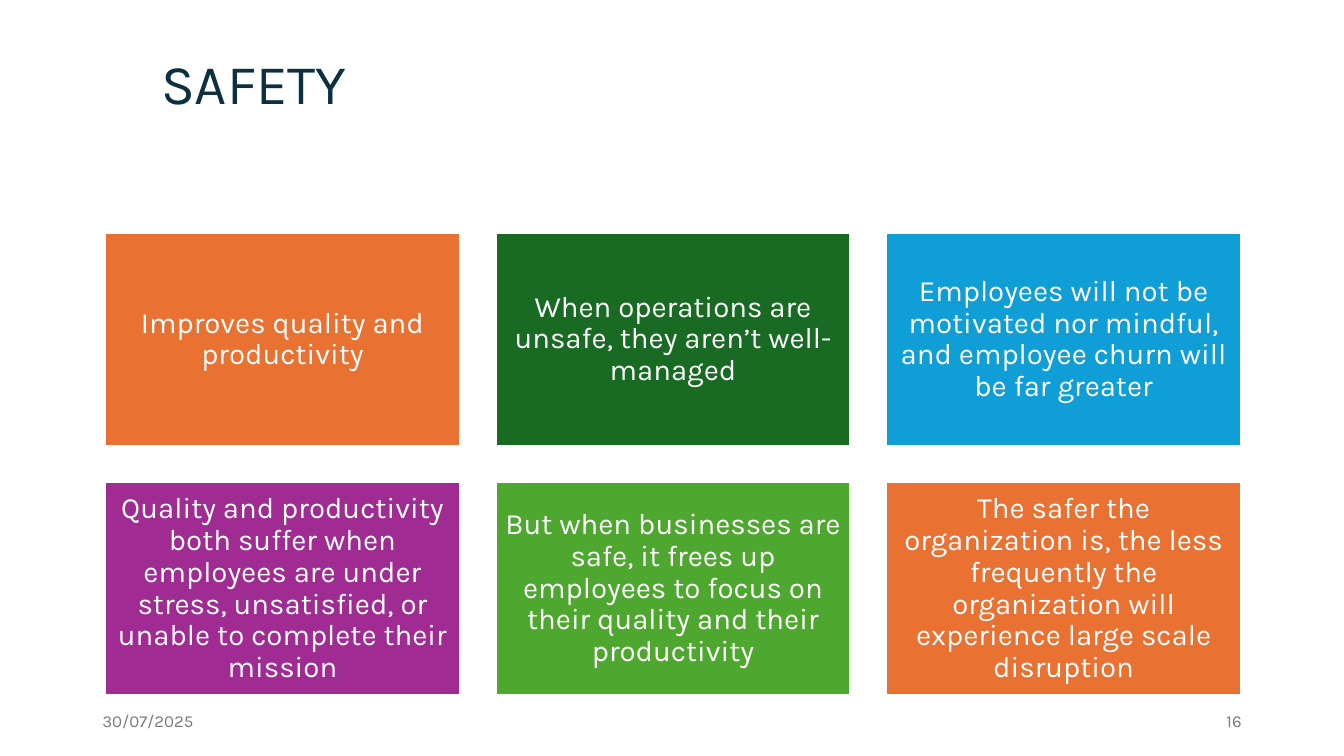
"""Build the safety slide: a title above a grid of six coloured statement cards."""
from pptx import Presentation
from pptx.dml.color import RGBColor
from pptx.enum import shapes, text
from pptx.util import Pt

FONT = "Karla"
WHITE = RGBColor(0xFF, 0xFF, 0xFF)
NAVY = RGBColor(0x0B, 0x30, 0x41)
GREY = RGBColor(0x79, 0x79, 0x79)
ORANGE = RGBColor(0xE9, 0x71, 0x32)
DARK_GREEN = RGBColor(0x19, 0x6B, 0x24)
BLUE = RGBColor(0x0F, 0x9E, 0xD5)
PURPLE = RGBColor(0xA0, 0x2B, 0x93)
GREEN = RGBColor(0x4E, 0xA7, 0x2E)

COLUMNS = 3
LEFT, TOP = 75, 166.5
CARD_WIDTH, CARD_HEIGHT = 253.5, 152
COLUMN_STEP, ROW_STEP = 279, 178


def write(holder, wording, size, color, align, line_spacing=1.0):
    """Put one vertically centred paragraph into a shape."""
    frame = holder.text_frame
    frame.word_wrap = True
    frame.vertical_anchor = text.MSO_ANCHOR.MIDDLE
    frame.text = wording
    paragraph = frame.paragraphs[0]
    paragraph.alignment = align
    paragraph.line_spacing = line_spacing
    font = paragraph.runs[0].font
    font.name = FONT
    font.size = Pt(size)
    font.color.rgb = color


deck = Presentation()
deck.slide_width, deck.slide_height = Pt(960), Pt(540)
slide = deck.slides.add_slide(deck.slide_layouts[6])

title = slide.shapes.add_textbox(Pt(108), Pt(27.5), Pt(790.5), Pt(69))
write(title, "SAFETY", 40, NAVY, text.PP_ALIGN.LEFT, 0.9)

statements = [
    ("Improves quality and productivity", ORANGE),
    ("When operations are unsafe, they aren’t well-managed", DARK_GREEN),
    ("Employees will not be motivated nor mindful, and employee churn will be far greater", BLUE),
    ("Quality and productivity both suffer when employees are under stress, unsatisfied, "
     "or unable to complete their mission", PURPLE),
    ("But when businesses are safe, it frees up employees to focus on their quality "
     "and their productivity", GREEN),
    ("The safer the organization is, the less frequently the organization will experience "
     "large scale disruption", ORANGE),
]
for index, (statement, color) in enumerate(statements):
    row, column = divmod(index, COLUMNS)
    card = slide.shapes.add_shape(
        shapes.MSO_SHAPE.RECTANGLE,
        Pt(LEFT + column * COLUMN_STEP), Pt(TOP + row * ROW_STEP),
        Pt(CARD_WIDTH), Pt(CARD_HEIGHT))
    card.shadow.inherit = False
    card.fill.solid()
    card.fill.fore_color.rgb = color
    card.line.color.rgb = WHITE
    card.line.width = Pt(1.5)
    frame = card.text_frame
    frame.margin_left = frame.margin_right = Pt(6.3)
    frame.margin_top = frame.margin_bottom = Pt(6.3)
    write(card, statement, 21, WHITE, text.PP_ALIGN.CENTER, 0.9)

footers = [
    ("30/07/2025", 66, text.PP_ALIGN.LEFT),
    ("16", 678, text.PP_ALIGN.RIGHT),
]
for wording, left, align in footers:
    footer = slide.shapes.add_textbox(Pt(left), Pt(500.5), Pt(216), Pt(28.75))
    write(footer, wording, 12, GREY, align)

deck.save("out.pptx")
